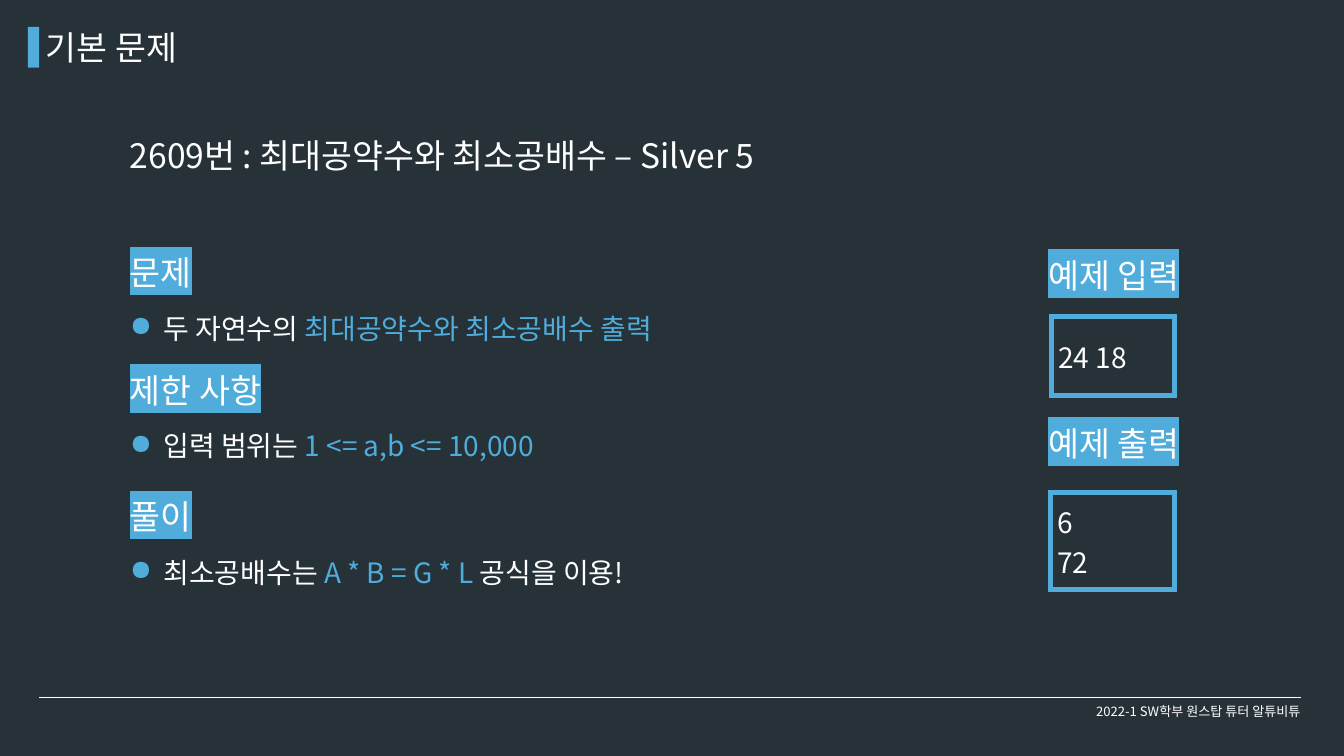
from pptx import Presentation
from pptx import util as u
from pptx.dml.color import RGBColor
from pptx.enum import shapes, text
from pptx.oxml.xmlchemy import OxmlElement
from lxml import etree

FONT = "Noto Sans CJK KR"
COLORS = {"back": "263238", "accent": "4FACDB", "white": "FFFFFF"}

deck = Presentation()
deck.slide_width, deck.slide_height = u.Inches(20), u.Inches(11.25)
UNIT = deck.slide_width / 120  # square grid: 120 columns by 67.5 rows


def grid(*cells):
    return [u.Emu(round(cell * UNIT)) for cell in cells]


def write(frame, lines, size, highlight=False):
    """Fill a frame with lines; each line is a list of (words, colour)."""
    frame.word_wrap = True
    for index, line in enumerate(lines):
        para = frame.paragraphs[0] if index == 0 else frame.add_paragraph()
        para.alignment = text.PP_ALIGN.LEFT
        for words, color in line:
            span = para.add_run()
            span.text = words
            span.font.size = u.Pt(size)
            span.font.color.rgb = RGBColor.from_string(COLORS[color])
            props = span.font._element
            if highlight:
                mark = OxmlElement("a:highlight")
                etree.SubElement(mark, mark.tag.replace("highlight", "srgbClr"), val=COLORS["accent"])
                props.append(mark)
            for script in ("a:latin", "a:ea"):
                face = OxmlElement(script)
                face.set("typeface", FONT)
                props.append(face)


page = deck.slides.add_slide(deck.slide_layouts[5])
page.background.fill.solid()
page.background.fill.fore_color.rgb = RGBColor.from_string(COLORS["back"])

# Footer rule and title bar
rule = page.shapes.add_connector(shapes.MSO_CONNECTOR.STRAIGHT, *grid(3.5, 62.25, 116.2, 62.25))
rule.line.color.rgb = RGBColor.from_string(COLORS["white"])
rule.line.width = u.Pt(0.75)
rule._element.spPr.append(OxmlElement("a:effectLst"))

bar = page.shapes.add_shape(shapes.MSO_SHAPE.RECTANGLE, *grid(2.5, 2.4, 1, 3.65))
bar.shadow.inherit = False
bar.fill.solid()
bar.fill.fore_color.rgb = RGBColor.from_string(COLORS["accent"])
bar.line.fill.background()

# Title
title = page.shapes.title
title.left, title.top, title.width, title.height = grid(3.5, 2.1, 57, 4.25)
title.text_frame.vertical_anchor = text.MSO_ANCHOR.TOP
title.text_frame.auto_size = text.MSO_AUTO_SIZE.SHAPE_TO_FIT_TEXT
write(title.text_frame, [[("기본 문제", "white")]], 36)

# Footer
footer = page.shapes.add_textbox(*grid(95, 61.85, 24, 3.4)).text_frame
footer.vertical_anchor = text.MSO_ANCHOR.MIDDLE
write(footer, [[("2022-1 SW학부 원스탑 튜터 알튜비튜", "white")]], 14)
footer.paragraphs[0].alignment = text.PP_ALIGN.CENTER

# Problem name and highlighted section headings: column, row, width, words
headings = [
    (11, 11.75, 79, "2609번 : 최대공약수와 최소공배수 – Silver 5"),
    (11, 22.2, 21.5, "문제"),
    (11, 32.7, 21.5, "제한 사항"),
    (11, 44, 21.5, "풀이"),
    (93, 22.45, 21.5, "예제 입력"),
    (93, 37.45, 21.5, "예제 출력"),
]
for number, (column, row, width, words) in enumerate(headings):
    box = page.shapes.add_textbox(*grid(column, row, width, 4.25))
    box.text_frame.auto_size = text.MSO_AUTO_SIZE.SHAPE_TO_FIT_TEXT
    write(box.text_frame, [[(words, "white")]], 36, highlight=number > 0)

# One bullet below each left-hand heading
bullets = [
    (22.2, 87.5, [("두 자연수의 ", "white"), ("최대공약수와 최소공배수 출력", "accent")]),
    (32.7, 41.5, [("입력 범위는 ", "white"), ("1 <= a,b <= 10,000", "accent")]),
    (44, 47, [("최소공배수는 ", "white"), ("A * B = G * L ", "accent"), ("공식을 이용!", "white")]),
]
for heading_row, width, line in bullets:
    box = page.shapes.add_textbox(*grid(11, heading_row + 5.3, width, 3.65))
    box.text_frame.auto_size = text.MSO_AUTO_SIZE.SHAPE_TO_FIT_TEXT
    write(box.text_frame, [line], 30)
    props = box.text_frame.paragraphs[0]._p.get_or_add_pPr()
    props.set("marL", str(u.Inches(0.5)))
    props.set("indent", str(u.Inches(-0.5)))
    tint = OxmlElement("a:buClr")
    etree.SubElement(tint, tint.tag.replace("buClr", "srgbClr"), val=COLORS["accent"])
    dot = OxmlElement("a:buChar")
    dot.set("char", "●")
    props.extend([tint, dot])

# Sample input and output in bordered one-cell tables
samples = [
    ((93.9, 28.3, 11, 7), ["24 18"]),
    ((93.8, 44, 11.1, 8.65), ["6", "72"]),
]
for area, values in samples:
    table = page.shapes.add_table(1, 1, *grid(*area)).table
    table.first_row = table.horz_banding = False
    cell = table.cell(0, 0)
    cell.vertical_anchor = text.MSO_ANCHOR.MIDDLE
    write(cell.text_frame, [[(value, "white")] for value in values], 30)
    for side in "LRTB":
        edge = OxmlElement(f"a:ln{side}")
        edge.set("w", str(u.Pt(6)))
        paint = OxmlElement("a:solidFill")
        etree.SubElement(paint, paint.tag.replace("solidFill", "srgbClr"), val=COLORS["accent"])
        edge.append(paint)
        cell._tc.get_or_add_tcPr().append(edge)
    cell.fill.background()

deck.save("out.pptx")
